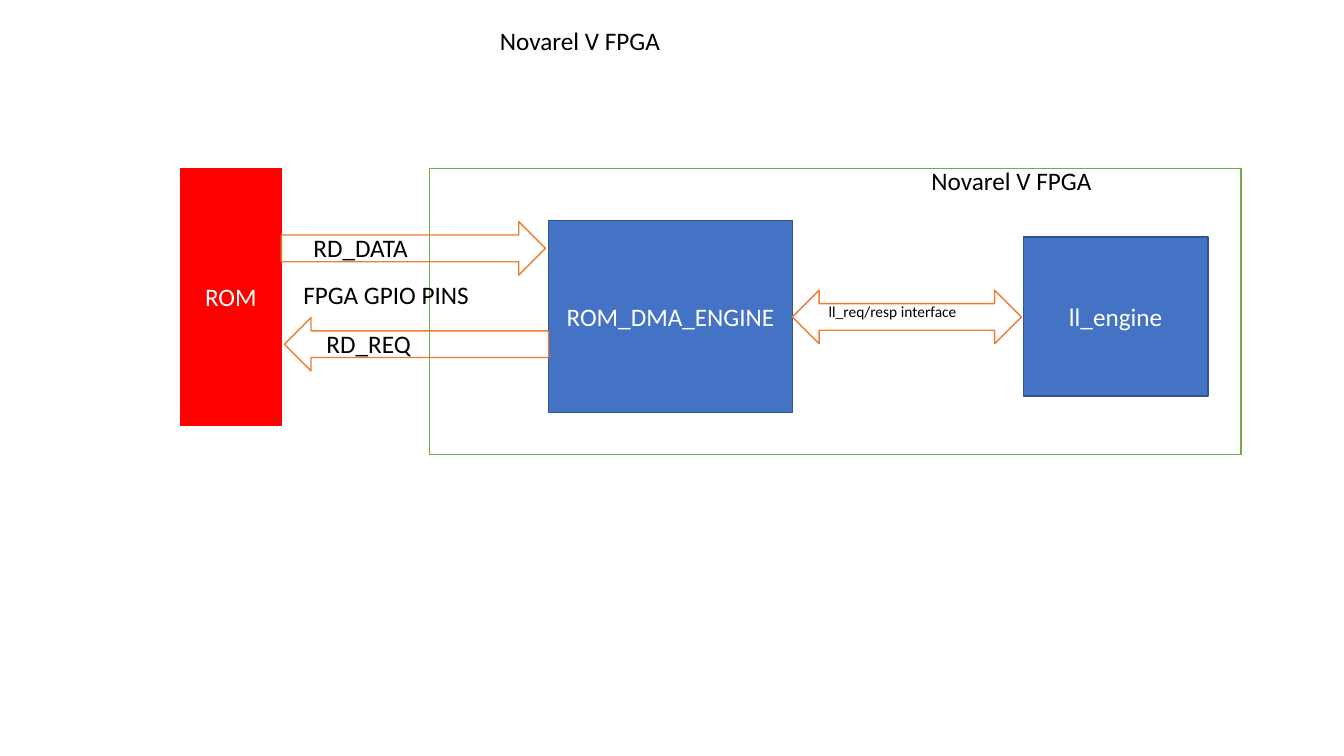
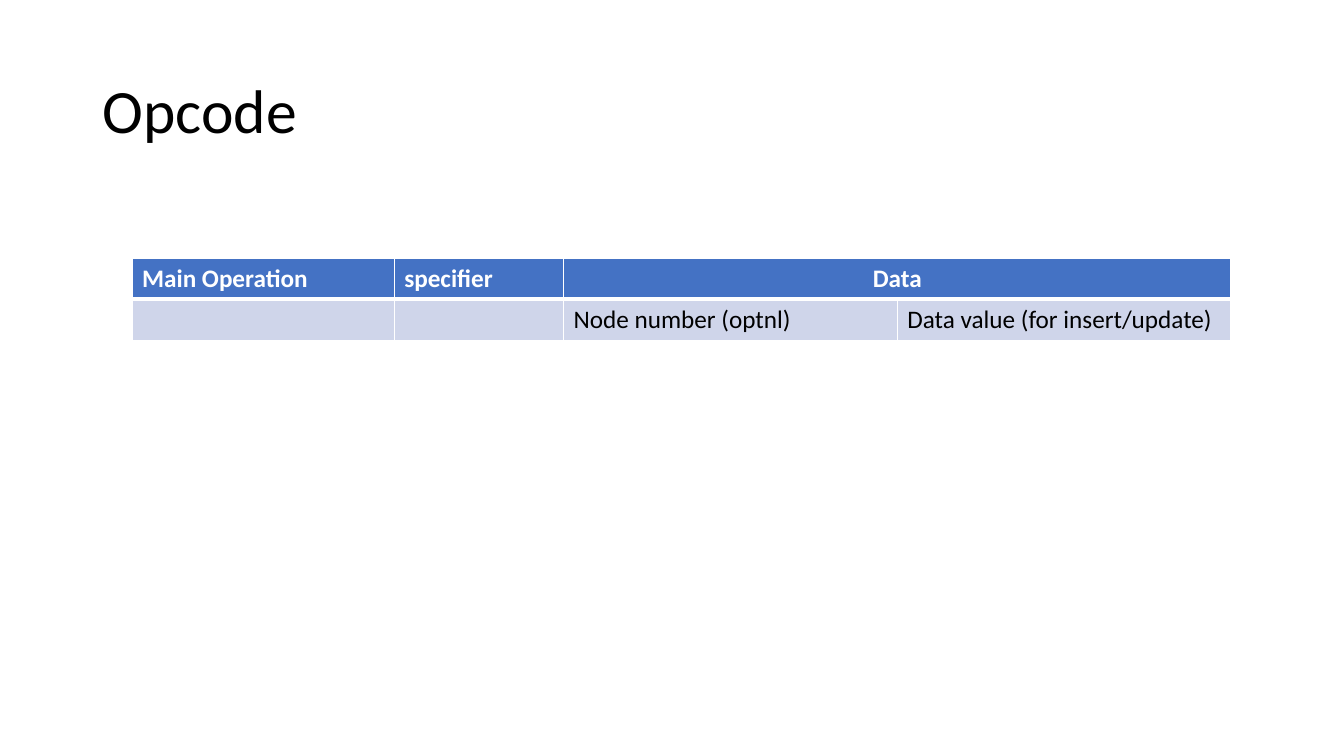
from lxml import etree
from pptx import Presentation
from pptx.dml.color import RGBColor
from pptx.enum import shapes, text
from pptx.oxml.ns import qn
from pptx.util import Inches, Pt

WHITE = RGBColor(0xFF, 0xFF, 0xFF)
BLACK = RGBColor(0, 0, 0)
BLUE = RGBColor(0x44, 0x72, 0xC4)
NAVY = RGBColor(0x32, 0x54, 0x91)
RED = RGBColor(0xFF, 0, 0)
GREEN = RGBColor(0x70, 0xAD, 0x47)
ORANGE = RGBColor(0xED, 0x7D, 0x31)
PALE = RGBColor(0xCF, 0xD5, 0xEA)

KIND = shapes.MSO_SHAPE
MID = text.MSO_ANCHOR.MIDDLE
LEFT, CENTER = text.PP_ALIGN.LEFT, text.PP_ALIGN.CENTER

CHIP = "Novarel V FPGA"
BLOCKS = [
    ("ll_engine", (10.15, 2.35, 1.83, 1.58), BLUE, NAVY),
    ("ROM_DMA_ENGINE", (5.44, 2.19, 2.42, 1.9), BLUE, NAVY),
    ("ROM", (1.79, 1.67, 1, 2.55), RED, RED),
]
FRAME = (4.26, 1.67, 8.05, 2.84)
ARROWS = [
    (KIND.RIGHT_ARROW, 2.79, 2.2, 2.62),
    (KIND.LEFT_ARROW, 2.82, 3.15, 2.62),
    (KIND.LEFT_RIGHT_ARROW, 7.86, 2.88, 2.27),
]
THICK = 0.53
LABELS = [
    (CHIP, (9.14, 1.59, 2.36, 0.4), 18),
    ("FPGA GPIO PINS", (2.91, 2.72, 2.36, 0.4), 18),
    ("RD_REQ", (3.14, 3.21, 1.2, 0.4), 18),
    ("RD_DATA", (3.01, 2.26, 1.2, 0.4), 18),
    ("ll_req/resp interface", (8.12, 2.95, 1.69, 0.29), 11),
    (CHIP, (4.86, 0.2, 2.36, 0.4), 18),
]
TITLE = ("Opcode", (0.92, 0.4, 11.5, 1.45), 44)
ROWS = [
    ["Main Operation", "specifier", "Data", ""],
    ["", "", "Node number (optnl)", "Data value (for insert/update)"],
]
WIDTHS = [2.6, 1.68, 3.31, 3.31]
SPOT = (1.31, 2.56)
HIGH = 0.41

deck = Presentation()
deck.slide_width, deck.slide_height = Inches(13.33), Inches(7.5)


def page():
    return deck.slides.add_slide(deck.slide_layouts[6])


def box(at):
    return [Inches(n) for n in at]


def write(frame, words, size, color, align=LEFT, bold=False):
    par = frame.paragraphs[0]
    par.alignment = align
    run = par.add_run()
    run.text = words
    look = {"name": "Calibri", "size": Pt(size), "bold": bold}
    for key, val in look.items():
        setattr(run.font, key, val)
    run.font.color.rgb = color
    return par


def draw(slide, kind, at, line, fill=None):
    item = slide.shapes.add_shape(kind, *box(at))
    item.shadow.inherit = False
    item.line.color.rgb = line
    item.line.width = Pt(1)
    if fill is None:
        item.fill.background()
    else:
        item.fill.solid()
        item.fill.fore_color.rgb = fill
    return item


def label(slide, words, at, size):
    frame = slide.shapes.add_textbox(*box(at)).text_frame
    frame.word_wrap = True
    write(frame, words, size, BLACK)
    return frame


def edge(cell, widths):
    props = cell._tc.get_or_add_tcPr()
    for spot, (side, wide) in enumerate(widths.items()):
        line = etree.Element(qn("a:ln" + side), w=str(Pt(wide)))
        fill = etree.SubElement(line, qn("a:solidFill"))
        etree.SubElement(fill, qn("a:srgbClr"), val=str(WHITE))
        props.insert(spot, line)


flow = page()
for words, at, fill, line in BLOCKS:
    frame = draw(flow, KIND.RECTANGLE, at, line, fill).text_frame
    frame.vertical_anchor = MID
    write(frame, words, 18, WHITE, CENTER)
draw(flow, KIND.RECTANGLE, FRAME, GREEN)
for kind, left, top, wide in ARROWS:
    draw(flow, kind, (left, top, wide, THICK), ORANGE)
for item in LABELS:
    label(flow, *item)

code = page()
head = label(code, *TITLE)
head.vertical_anchor = MID
head.paragraphs[0].line_spacing = 0.9

area = (*SPOT, sum(WIDTHS), HIGH * len(ROWS))
grid = code.shapes.add_table(len(ROWS), len(WIDTHS), *box(area)).table
for col, wide in zip(grid.columns, WIDTHS):
    col.width = Inches(wide)
for r, row in enumerate(ROWS):
    grid.rows[r].height = Inches(HIGH)
    top = r == 0
    for c, words in enumerate(row):
        cell = grid.cell(r, c)
        cell.fill.solid()
        cell.fill.fore_color.rgb = BLUE if top else PALE
        edge(cell, {"L": 1, "R": 1, "T": 1 if top else 3, "B": 3 if top else 1})
        if words:
            align = CENTER if words == "Data" else LEFT
            write(cell.text_frame, words, 18, WHITE if top else BLACK, align, top)
grid.cell(0, 2).merge(grid.cell(0, 3))

deck.save("out.pptx")
